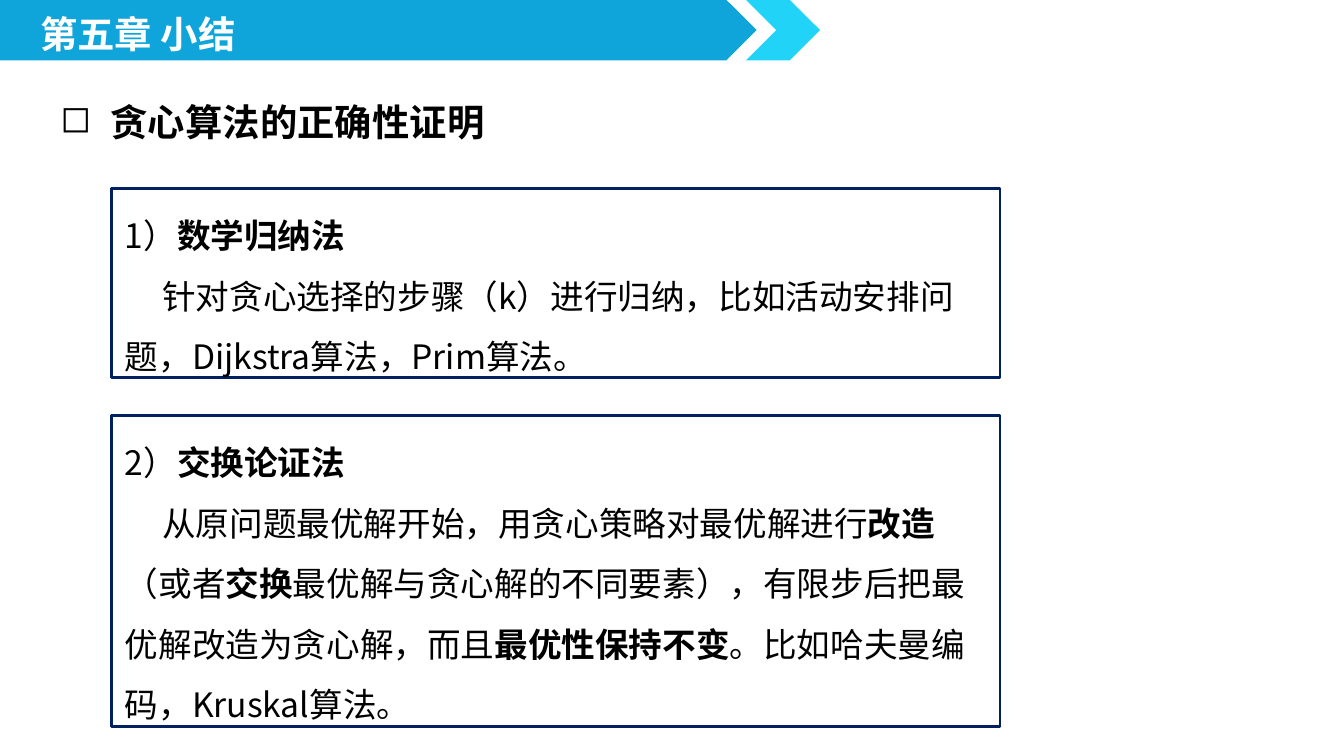
from lxml import etree
from pptx import Presentation
from pptx import util as u
from pptx.dml.color import RGBColor
from pptx.enum import shapes, text
from pptx.oxml.ns import qn

FONT = "Noto Sans CJK SC"
WHITE, BLACK, NAVY = "FFFFFF", "000000", "002060"
BLUE, CYAN = "10A5DA", "21D3F7"
HEADING_SIZE, BODY_SIZE = 20, 18


def colour(hex_string):
    return RGBColor.from_string(hex_string)


def add_run(paragraph, words, size, hex_string, bold):
    run = paragraph.add_run()
    run.text = words
    font = run.font
    font.size, font.bold, font.name = u.Pt(size), bold, FONT
    font.color.rgb = colour(hex_string)
    etree.SubElement(font._element, qn("a:ea"), typeface=FONT)


def add_arrow(slide, preset, box, hex_string):
    arrow = slide.shapes.add_shape(preset, *map(u.Cm, box))
    arrow.shadow.inherit = False
    arrow.fill.solid()
    arrow.fill.fore_color.rgb = colour(hex_string)
    arrow.line.fill.background()


def add_heading(slide, box, words, hex_string, bullet=None):
    heading = slide.shapes.add_textbox(*map(u.Cm, box))
    frame = heading.text_frame
    frame.word_wrap = False
    frame.auto_size = text.MSO_AUTO_SIZE.SHAPE_TO_FIT_TEXT
    paragraph = frame.paragraphs[0]
    if bullet:
        props = paragraph._p.get_or_add_pPr()
        hanging = u.Cm(0.95)
        props.set("marL", str(hanging))
        props.set("indent", str(-hanging))
        etree.SubElement(props, qn("a:buChar"), char=bullet)
    add_run(paragraph, words, HEADING_SIZE, hex_string, True)


def add_banner(slide, left, top, height):
    """Blue title band with a chevron behind its tip."""
    add_arrow(slide, shapes.MSO_SHAPE.PENTAGON, (left, top, 14.3, height), BLUE)
    add_arrow(slide, shapes.MSO_SHAPE.CHEVRON, (left + 14.1, top, 1.4, height), CYAN)
    add_heading(slide, (left + 0.51, top + 0.08, 4.29, 1.11), "第五章 小结", WHITE)


def add_method(slide, box, number, name, explanation):
    """Framed proof method; explanation is a list of (words, bold)."""
    method = slide.shapes.add_shape(shapes.MSO_SHAPE.RECTANGLE, *map(u.Cm, box))
    method.shadow.inherit = False
    method.fill.background()
    method.line.color.rgb = colour(NAVY)
    method.line.width = u.Pt(1.5)
    frame = method.text_frame
    frame.word_wrap = True
    frame.auto_size = text.MSO_AUTO_SIZE.SHAPE_TO_FIT_TEXT
    frame.vertical_anchor = text.MSO_ANCHOR.TOP

    title, body = frame.paragraphs[0], frame.add_paragraph()
    body._p.get_or_add_pPr().set("indent", str(u.Cm(0.71)))
    for paragraph, parts in (
        (title, [(f"{number}）", False), (name, True)]),
        (body, explanation),
    ):
        paragraph.alignment = text.PP_ALIGN.LEFT
        paragraph.line_spacing = 1.5
        for words, bold in parts:
            add_run(paragraph, words, BODY_SIZE, BLACK, bold)


def main():
    deck = Presentation()
    deck.slide_width, deck.slide_height = u.Cm(25.4), u.Cm(14.29)
    slide = deck.slides.add_slide(deck.slide_layouts[6])

    # Title band and topic
    add_banner(slide, 0, 0, 1.14)
    add_heading(slide, (0.89, 1.75, 8.61, 1.11), "贪心算法的正确性证明", BLACK, "◻")

    # Proof methods
    left, width = 2.11, 16.79
    add_method(slide, (left, 3.56, width, 3.58), 1, "数学归纳法", [
        ("针对贪心选择的步骤（k）进行归纳，比如活动安排问题，Dijkstra算法，Prim算法。", False),
    ])
    add_method(slide, (left, 7.85, width, 5.89), 2, "交换论证法", [
        ("从原问题最优解开始，用贪心策略对最优解进行", False),
        ("改造", True),
        ("（或者", False),
        ("交换", True),
        ("最优解与贪心解的不同要素），有限步后把最优解改造为贪心解，而且", False),
        ("最优性保持不变", True),
        ("。比如哈夫曼编码，Kruskal算法。", False),
    ])

    deck.save("out.pptx")


if __name__ == "__main__":
    main()
